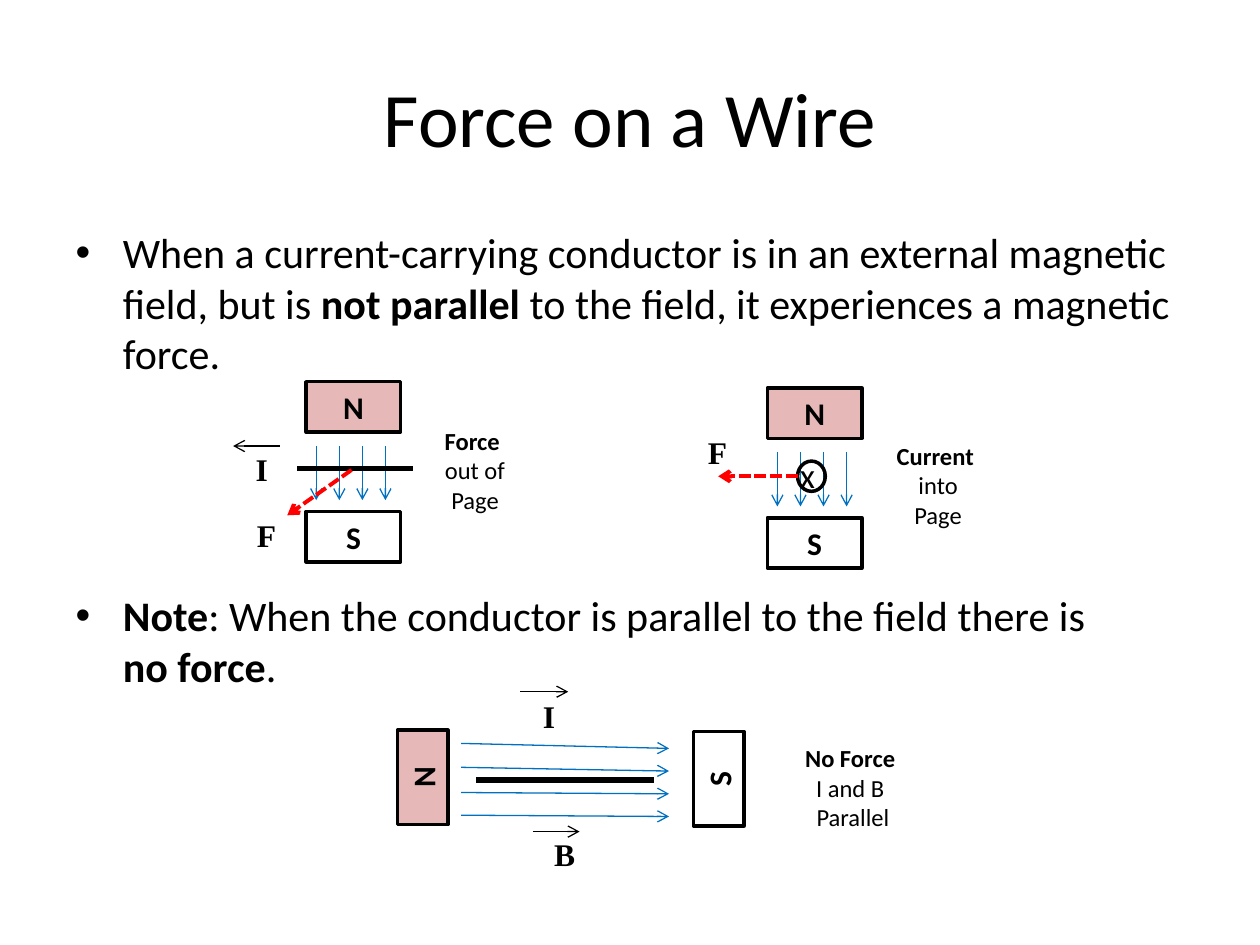
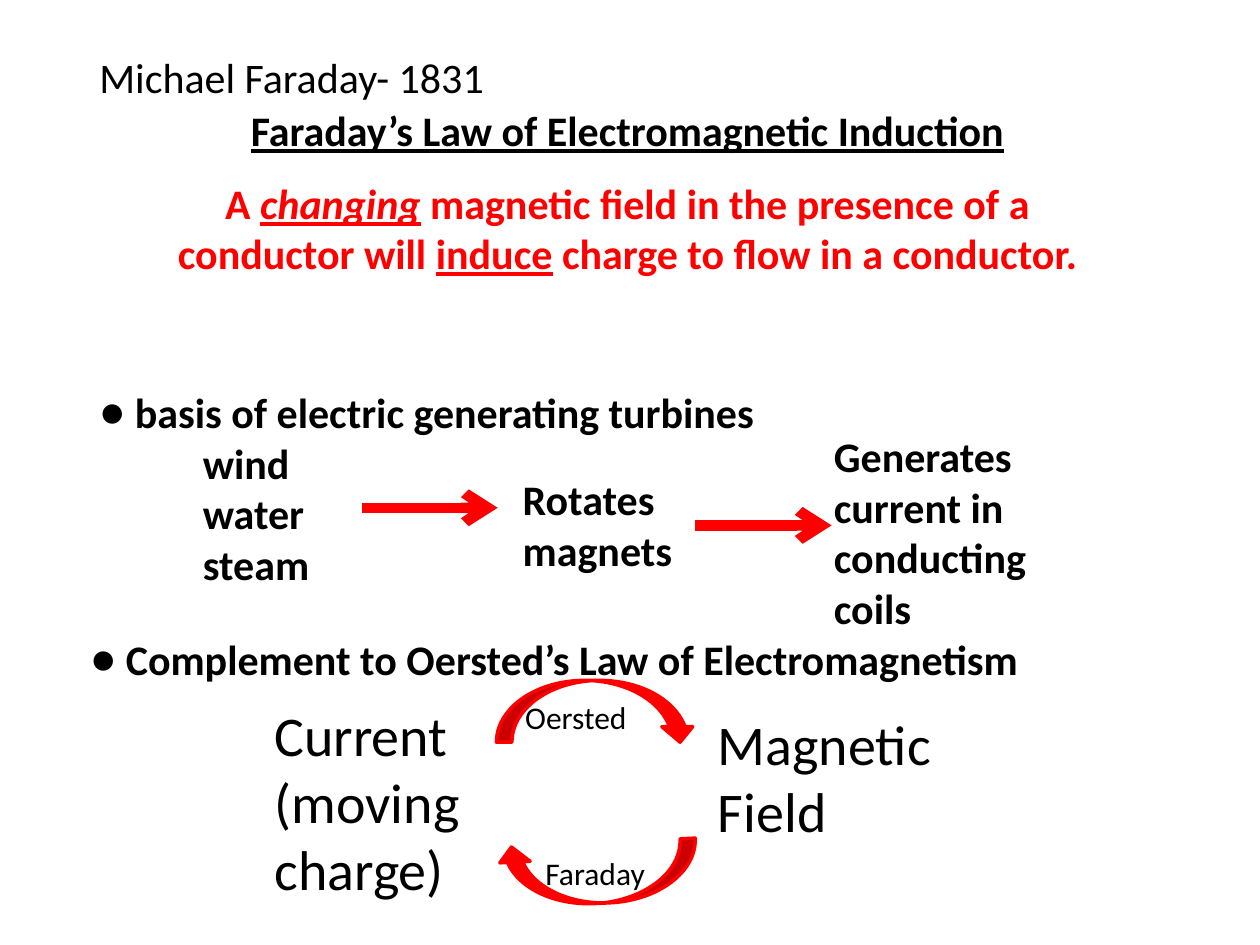
from lxml.etree import SubElement
from pptx import Presentation
from pptx.dml.color import RGBColor
from pptx.enum.dml import MSO_LINE as Dash
from pptx.enum.shapes import MSO_CONNECTOR as Link, MSO_SHAPE as Form
from pptx.enum.text import MSO_ANCHOR as Anchor, MSO_AUTO_SIZE as Fit, PP_ALIGN as Align
from pptx.oxml.ns import qn
from pptx.util import Inches, Pt

# Grid: the slide is 100 columns by 75 rows of square cells
WIDE, HIGH = Inches(10), Inches(7.5)
CELL = WIDE / 100

BLACK = RGBColor(0, 0, 0)
WHITE = RGBColor(255, 255, 255)
RED = RGBColor(255, 0, 0)
BLUE = RGBColor(0, 112, 192)
PINK = RGBColor(230, 185, 184)
SANS, SERIF = "Calibri", "Times New Roman"

# Content of slide 1: paragraphs are lists of (text, style) runs
WIRE = "Force on a Wire"
RULES = [
    [("When a current-carrying conductor is in an external magnetic field, but is ", ""),
     ("not parallel ", "b"), ("to the field, it experiences a magnetic force.", "")],
    [("Note", "b"), (": When the conductor is parallel to the field there is \v", ""),
     ("no force", "b"), (".", "")],
]
NOTES = [  # bold head, plain lines, place
    ("Force ", ["out of", "Page"], (34.3, 33.3, 6.8, 8.1)),
    ("Current ", ["into", "Page"], (70.2, 34.5, 8.5, 8.1)),
    ("No Force ", ["I and B ", "Parallel"], (62.9, 58.5, 9.6, 8.1)),
]
SIGNS = [  # vector name, left, top, width
    ("I", 19.3, 35.2, 3), ("F", 19.4, 40.5, 3.6), ("F", 55.2, 33.9, 3.6),
    ("I", 42.1, 54.8, 3), ("B", 43, 65.8, 3.7),
]
PAIRS = [(24.3, 30.3), (60.9, 30.8)]  # upright magnets: corner of N
BAR = (7.5, 4)                        # size of a magnet
DROP = 10.3                           # from N down to S
FLOWS = [(18.5, 35.4, 22.2), (45.1, 54.9, 41.3), (46, 66, 42.3)]  # vector arrows
FIELD = [(59, 59.4), (60.9, 61.2), (62.9, 63), (64.7, 64.8)]      # start and end rows

# Content of slide 2
YEAR = "Michael Faraday- 1831"
LAW = [[("Faraday’s Law of Electromagnetic Induction", "bu")]]
CLAIM = [[("A ", "b"), ("changing", "biu"),
          (" magnetic field in the presence of a conductor will ", "b"),
          ("induce", "bu"), (" charge to flow in a conductor.", "b")]]
BASIS = ["basis of electric generating turbines", "wind", "water", "steam"]
TWIN = "Complement to Oersted’s Law of Electromagnetism"
STEPS = [
    ("Rotates\nmagnets", (40.5, 37.1, 19.5, 9.1)),
    ("Generates\ncurrent in conducting coils", (65.2, 33.7, 20.7, 17.2)),
]
SIDES = [
    ("Current\n(moving charge)", (20.8, 55.1, 23.3, 17.2)),
    ("Magnetic\nField", (56, 55.8, 23.3, 11.8)),
]
TURNS = [  # name, its place, arrow place, angle
    ("Oersted", (40.7, 54.9, 11.9, 4), (39.4, 54, 15.8, 4.9), 0),
    ("Faraday", (42.3, 67.3, 11.9, 4), (39.5, 66.9, 15.8, 4.8), 177.2),
]


def cells(*spans):
    return [round(n * CELL) for n in spans]


def write(frame, text, size=24, face=SANS, color=BLACK, style="", align=Align.LEFT,
          anchor=Anchor.TOP, wrap=True, gap=0):
    """Fill a frame from a string, or from lists of (text, style) runs."""
    if isinstance(text, str):
        text = [[(line, style)] for line in text.split("\n")]
    frame.auto_size = Fit.NONE
    frame.word_wrap = wrap
    frame.vertical_anchor = anchor
    for i, runs in enumerate(text):
        para = frame.add_paragraph() if i else frame.paragraphs[0]
        para.alignment = align
        para.space_before = Pt(gap if i else 0)
        for words, look in runs:
            for j, part in enumerate(words.split("\v")):
                if j:
                    para.add_line_break()
                if not part:
                    continue
                run = para.add_run()
                run.text = part
                font = run.font
                font.size, font.name, font.color.rgb = Pt(size), face, color
                font.bold, font.italic, font.underline = ("b" in look, "i" in look, "u" in look)
    return frame


def place(shape, spot):
    shape.left, shape.top, shape.width, shape.height = cells(*spot)
    return shape.text_frame


def label(slide, text, spot, **form):
    return write(slide.shapes.add_textbox(*cells(*spot)).text_frame, text, **form)


def mark(para, sign="", left=0.28, hang=0.28):
    """Give a paragraph its indent and its bullet, or none."""
    props = para._p.get_or_add_pPr()
    props.set("marL", str(Inches(left)))
    props.set("indent", str(-Inches(hang)))
    if sign:
        SubElement(props, qn("a:buFont")).set("typeface", SANS)
        SubElement(props, qn("a:buChar")).set("char", sign)
    else:
        SubElement(props, qn("a:buNone"))


def shape(slide, form, spot, fill=None, angle=0, edge=BLACK):
    item = slide.shapes.add_shape(form, *cells(*spot))
    item.shadow.inherit = False
    item.rotation = angle
    if fill is None:
        item.fill.background()
    else:
        item.fill.solid()
        item.fill.fore_color.rgb = fill
    item.line.color.rgb, item.line.width = edge, Pt(2)
    return item


def magnet(slide, pole, left, top, angle=0):
    item = shape(slide, Form.RECTANGLE, (left, top, *BAR), PINK if pole == "N" else WHITE, angle)
    write(item.text_frame, pole, size=18, style="b", align=Align.CENTER, anchor=Anchor.MIDDLE)


def line(slide, ends, color=BLACK, width=0.75, arrow=True, dash=False):
    item = slide.shapes.add_connector(Link.STRAIGHT, *cells(*ends))
    item.line.color.rgb, item.line.width = color, Pt(width)
    if dash:
        item.line.dash_style = Dash.SQUARE_DOT
    props = item._element.spPr
    if arrow:
        SubElement(props.find(qn("a:ln")), qn("a:tailEnd")).set("type", "arrow")
    SubElement(props, qn("a:effectLst"))


def force(deck):
    slide = deck.slides.add_slide(deck.slide_layouts[1])
    title, body = slide.placeholders
    write(place(title, (5, 3, 90, 12.5)), WIRE, size=44, align=Align.CENTER, anchor=Anchor.MIDDLE)
    write(place(body, (5, 17.5, 90, 49.5)), RULES, gap=121)

    # Upright magnets with the field running down
    for left, top in PAIRS:
        magnet(slide, "N", left, top)
        magnet(slide, "S", left, top + DROP)
        for i in range(4):
            x = left + 0.8 + i * 1.83
            line(slide, (x, top + 5.1, x, top + 9.4), BLUE)

    # Wires and forces
    line(slide, (23.6, 37.2, 32.8, 37.2), width=3, arrow=False)
    line(slide, (27.9, 37.3, 22.8, 40.9), RED, 2.25, dash=True)
    shape(slide, Form.OVAL, (63.3, 36.6, 2.2, 2.4))
    label(slide, "x", (62.5, 35.5, 3, 4.4), size=20, wrap=False)
    line(slide, (63.3, 37.8, 57, 37.8), RED, 2.25, dash=True)

    # Magnets on their sides with the wire along the field
    magnet(slide, "N", 29.8, 59.7, 270)
    magnet(slide, "S", 53.3, 59.8, 270)
    for start, end in FIELD:
        line(slide, (36.6, start, 53.1, end), BLUE)
    line(slide, (37.8, 61.9, 51.9, 61.9), width=3, arrow=False)

    # Vector names and notes
    for tip, y, tail in FLOWS:
        line(slide, (tail, y, tip, y))
    for name, left, top, width in SIGNS:
        label(slide, name, (left, top, width, 4), size=18, face=SERIF, style="b", wrap=False)
    for head, rest, spot in NOTES:
        text = [[(head, "b")]] + [[(row, "")] for row in rest]
        label(slide, text, spot, size=14, align=Align.CENTER, wrap=False)


def induce(deck):
    slide = deck.slides.add_slide(deck.slide_layouts[1])
    title, body = slide.placeholders
    label(slide, YEAR, (6.9, 3.6, 33.3, 5))
    write(place(title, (10.2, 7.8, 79.2, 5)), LAW, align=Align.CENTER)
    label(slide, CLAIM, (10.2, 13.6, 79.2, 9), color=RED, align=Align.CENTER)

    # Turbine chain
    frame = write(place(body, (6.9, 30.2, 79.2, 20.2)), "\n".join(BASIS), style="b")
    mark(frame.paragraphs[0], "●")
    for para in frame.paragraphs[1:]:
        mark(para, left=0.82, hang=0)
    for text, spot in STEPS:
        label(slide, text, spot, style="b")
    for x, y in [(28.7, 40.3), (55.2, 41.7)]:
        line(slide, (x, y, x + 10.8, y), RED, 6)

    # Cycle of current and field
    mark(label(slide, TWIN, (6.2, 49.8, 92.1, 5), style="b").paragraphs[0], "●")
    for text, spot in SIDES:
        label(slide, text, spot, size=32)
    for name, spot, bend, angle in TURNS:
        shape(slide, Form.CURVED_DOWN_ARROW, bend, RED, angle, RED)
        label(slide, name, spot, size=18)


def main():
    deck = Presentation()
    deck.slide_width, deck.slide_height = WIDE, HIGH
    force(deck)
    induce(deck)
    deck.save("out.pptx")


if __name__ == "__main__":
    main()
